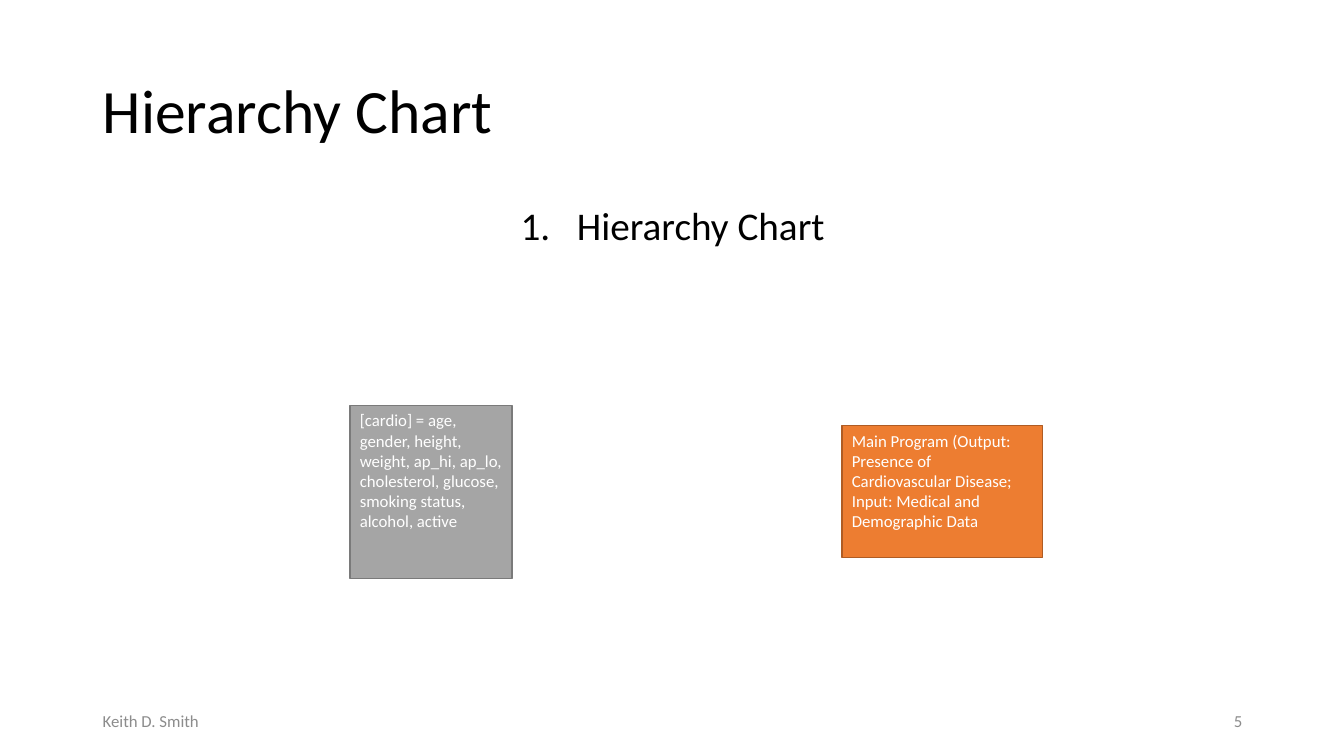
from lxml import etree
from pptx import Presentation
from pptx.dml.color import RGBColor
from pptx.enum.shapes import MSO_SHAPE
from pptx.enum.text import MSO_ANCHOR, MSO_AUTO_SIZE, PP_ALIGN
from pptx.oxml.ns import qn
from pptx.util import Inches, Pt

RECTANGLE = MSO_SHAPE.RECTANGLE
TOP, MIDDLE = MSO_ANCHOR.TOP, MSO_ANCHOR.MIDDLE
LEFT, CENTER, RIGHT = PP_ALIGN.LEFT, PP_ALIGN.CENTER, PP_ALIGN.RIGHT
NO_AUTOFIT = MSO_AUTO_SIZE.NONE

FONT = "Calibri"
BLACK, WHITE, FOOTER_GRAY = "000000", "FFFFFF", "8C8C8C"
MARGIN, CONTENT_WIDTH = 0.92, 11.5
FOOTER_TOP, FOOTER_WIDTH, FOOTER_HEIGHT = 6.95, 3, 0.4


def color(hex_value):
    return RGBColor.from_string(hex_value)


def write(holder, text, size, font_color, align=LEFT, anchor=TOP):
    """Fill a shape with one formatted paragraph and return it."""
    frame = holder.text_frame
    frame.text = text
    frame.word_wrap = True
    frame.auto_size = NO_AUTOFIT
    frame.vertical_anchor = anchor
    paragraph = frame.paragraphs[0]
    paragraph.alignment = align
    paragraph.font.name = FONT
    paragraph.font.size = Pt(size)
    paragraph.font.color.rgb = color(font_color)
    return paragraph


def place(holder, left, top, width, height):
    holder.left, holder.top = Inches(left), Inches(top)
    holder.width, holder.height = Inches(width), Inches(height)


def number_item(paragraph, indent):
    """Give a paragraph an automatic number with a hanging indent."""
    properties = paragraph._p.get_or_add_pPr()
    properties.set("marL", str(Inches(indent)))
    properties.set("indent", str(-Inches(indent)))
    numbering = etree.Element(qn("a:buAutoNum"), type="arabicPeriod")
    properties.find(qn("a:defRPr")).addprevious(numbering)


def add_footer(slide, text, left, align):
    footer = slide.shapes.add_textbox(Inches(left), Inches(FOOTER_TOP),
                                      Inches(FOOTER_WIDTH), Inches(FOOTER_HEIGHT))
    write(footer, text, 12, FOOTER_GRAY, align, MIDDLE)


def add_module(slide, text, left, top, width, height, fill, outline):
    module = slide.shapes.add_shape(RECTANGLE, Inches(left), Inches(top),
                                    Inches(width), Inches(height))
    module.shadow.inherit = False
    module.fill.solid()
    module.fill.fore_color.rgb = color(fill)
    module.line.color.rgb = color(outline)
    module.line.width = Pt(1)
    write(module, text, 12, WHITE)


def main():
    presentation = Presentation()
    presentation.slide_width, presentation.slide_height = Inches(13.33), Inches(7.5)
    slide = presentation.slides.add_slide(presentation.slide_layouts[1])

    # Title and numbered heading
    title, body = slide.shapes.title, slide.placeholders[1]
    place(title, MARGIN, 0.4, CONTENT_WIDTH, 1.45)
    heading = write(title, "Hierarchy Chart", 44, BLACK, anchor=MIDDLE)
    heading.line_spacing = 0.9
    place(body, MARGIN, 2, CONTENT_WIDTH, 4.76)
    item = write(body, "Hierarchy Chart", 28, BLACK, CENTER)
    item.line_spacing = 0.9
    item.space_before = Pt(10)
    number_item(item, 0.56)

    # Footer: author and page number
    add_footer(slide, "Keith D. Smith", MARGIN, LEFT)
    add_footer(slide, "5", MARGIN + CONTENT_WIDTH - FOOTER_WIDTH, RIGHT)

    # Program modules
    add_module(slide, "[cardio] = age, gender, height, weight, ap_hi, ap_lo, "
               "cholesterol, glucose, smoking status, alcohol, active",
               3.47, 4.02, 1.61, 1.72, "A5A5A5", "7A7A7A")
    add_module(slide, "Main Program (Output: Presence of Cardiovascular Disease; "
               "Input: Medical and Demographic Data",
               8.35, 4.22, 1.99, 1.31, "ED7D31", "AF5C24")

    presentation.save("out.pptx")


if __name__ == "__main__":
    main()
